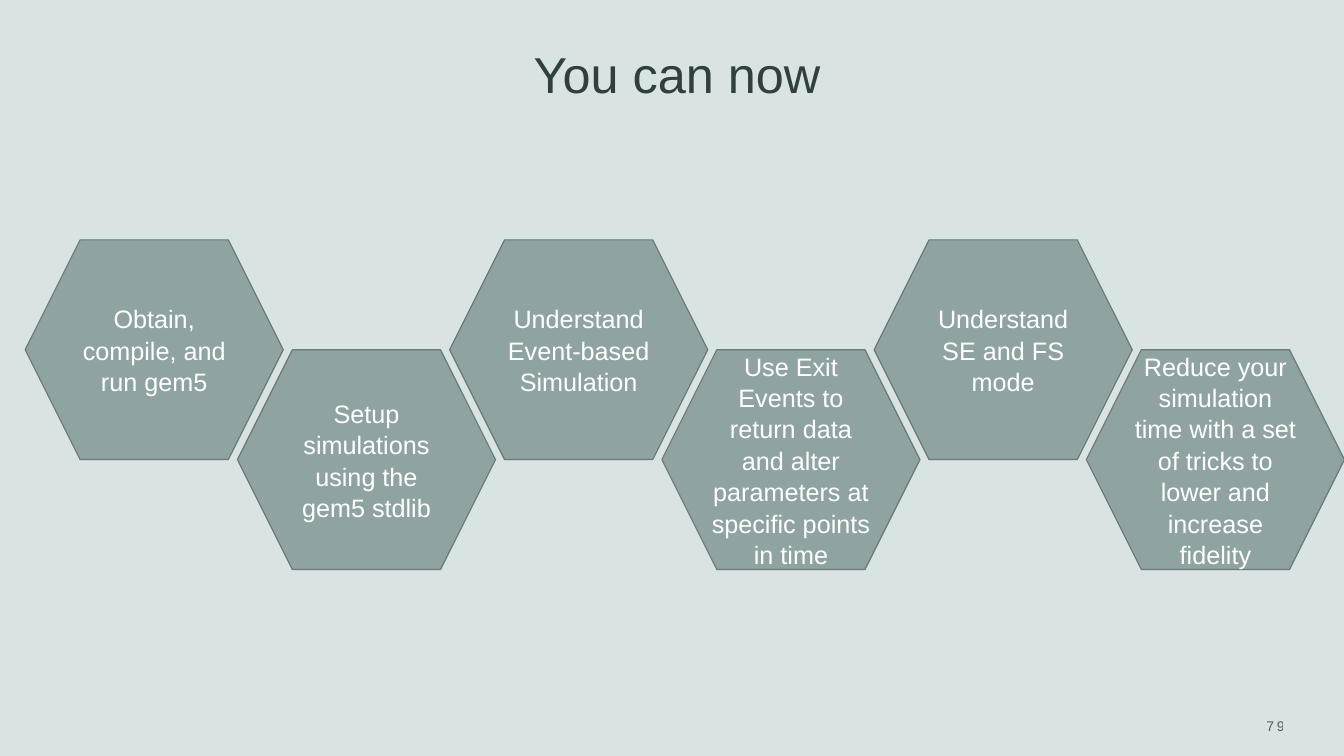
import pptx
import pptx.util
import pptx.dml.color
import pptx.enum.shapes
import pptx.enum.text
import pptx.oxml.ns
from lxml import etree

Inches = pptx.util.Inches
Pt = pptx.util.Pt
ALIGN = pptx.enum.text.PP_ALIGN
ANCHOR = pptx.enum.text.MSO_ANCHOR

TITLE = "You can now"
PAGE_NUMBER = "79"
SKILLS = [
    ["Obtain, compile, and run gem5"],
    ["Setup simulations", "using the gem5 stdlib"],
    ["Understand Event-based Simulation"],
    ["Use Exit Events to return data and alter parameters at specific points in time"],
    ["Understand SE and FS mode"],
    ["Reduce your simulation time with a set of tricks to lower and increase fidelity"],
]
COLORS = {
    "background": "DAE3E3",
    "title": "303F3F",
    "hexagon": "8FA3A3",
    "outline": "6A7979",
    "skill": "FFFFFF",
    "number": "000000",
}
FONT = "Arial"
HEXAGON_WIDTH, HEXAGON_HEIGHT = 2.56, 2.18
FIRST_LEFT, COLUMN_STEP = 0.25, 2.105
ROW_TOPS = (2.38, 3.47)


def rgb(name):
    return pptx.dml.color.RGBColor.from_string(COLORS[name])


def write(shape, lines, size, color, align, anchor):
    frame = shape.text_frame
    frame.word_wrap = True
    frame.vertical_anchor = anchor
    frame.text = "\n".join(lines)
    for paragraph in frame.paragraphs:
        paragraph.alignment = align
        paragraph.font.name = FONT
        paragraph.font.size = Pt(size)
        paragraph.font.color.rgb = rgb(color)
    return frame


def add_text(slide, box, text, size, color, align, anchor):
    shape = slide.shapes.add_textbox(*map(Inches, box))
    return write(shape, [text], size, color, align, anchor)


def add_hexagon(slide, index, lines):
    left = FIRST_LEFT + index * COLUMN_STEP
    top = ROW_TOPS[index % 2]
    shape = slide.shapes.add_shape(
        pptx.enum.shapes.MSO_SHAPE.HEXAGON,
        Inches(left), Inches(top), Inches(HEXAGON_WIDTH), Inches(HEXAGON_HEIGHT),
    )
    shape.shadow.inherit = False
    shape.fill.solid()
    shape.fill.fore_color.rgb = rgb("hexagon")
    shape.line.color.rgb = rgb("outline")
    shape.line.width = Pt(0.85)
    frame = write(shape, lines, 18, "skill", ALIGN.CENTER, ANCHOR.MIDDLE)
    frame.margin_left = frame.margin_right = Inches(0.08)
    frame.margin_top = frame.margin_bottom = 0
    for paragraph in frame.paragraphs:
        paragraph.line_spacing = 1.04


def add_page_number(slide):
    frame = add_text(slide, (10.92, 6.95, 1.92, 0.5), PAGE_NUMBER, 10, "number",
                     ALIGN.RIGHT, ANCHOR.MIDDLE)
    qn = pptx.oxml.ns.qn
    run = frame.paragraphs[0].runs[0]
    run.font.color.rgb = rgb("number")
    properties = run.font._element
    properties.set("spc", "200")
    color = properties.find(".//" + qn("a:srgbClr"))
    etree.SubElement(color, qn("a:alpha")).set("val", "60000")


def main():
    presentation = pptx.Presentation()
    presentation.slide_width = Inches(13.33)
    presentation.slide_height = Inches(7.5)
    slide = presentation.slides.add_slide(presentation.slide_layouts[6])
    slide.background.fill.solid()
    slide.background.fill.fore_color.rgb = rgb("background")
    add_text(slide, (1.13, 0.36, 11.17, 0.72), TITLE, 36, "title",
             ALIGN.CENTER, ANCHOR.BOTTOM)
    for index, lines in enumerate(SKILLS):
        add_hexagon(slide, index, lines)
    add_page_number(slide)
    presentation.save("out.pptx")


if __name__ == "__main__":
    main()
